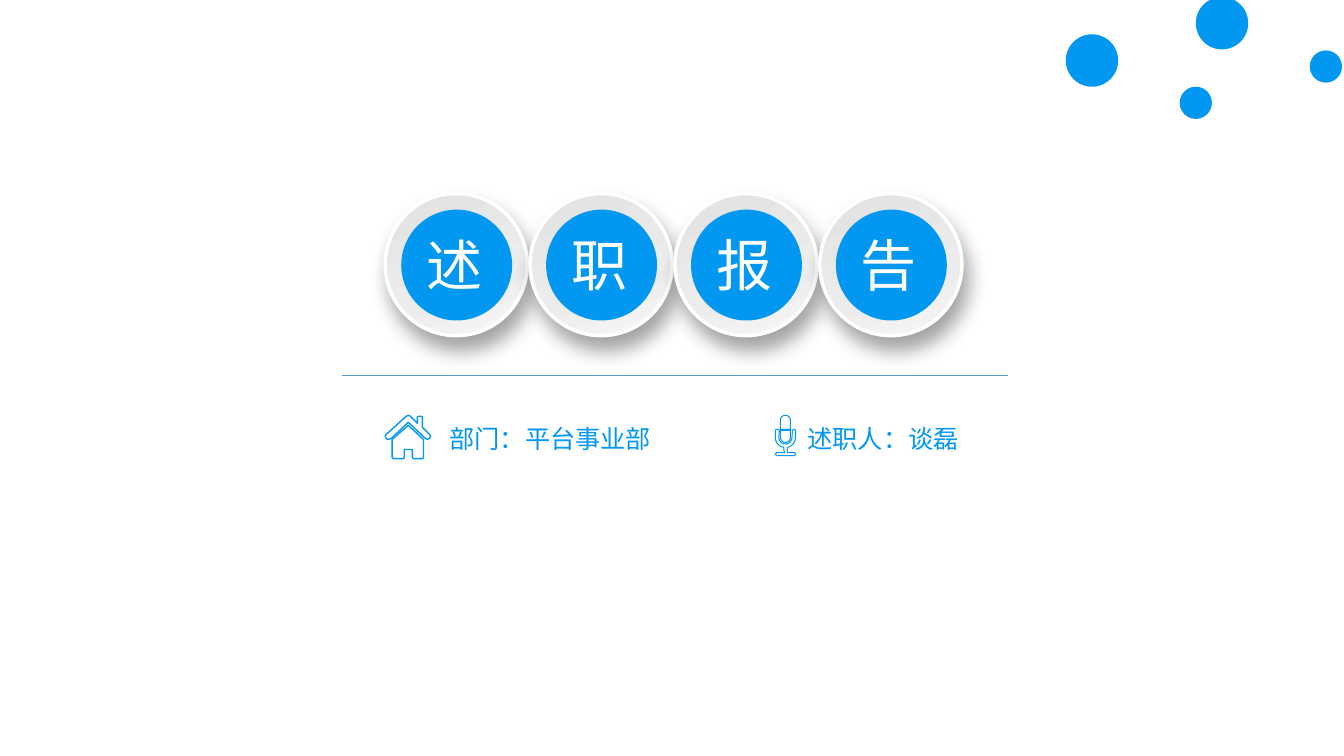
from dataclasses import dataclass
from math import cos, radians, sin

from lxml import etree
from pptx import Presentation
from pptx.dml.color import RGBColor
from pptx.enum.shapes import MSO_CONNECTOR, MSO_SHAPE
from pptx.enum.text import MSO_AUTO_SIZE
from pptx.oxml import parse_xml
from pptx.oxml.ns import nsdecls, qn
from pptx.shapes.autoshape import Shape
from pptx.util import Inches, Pt

ELLIPSE, DONUT = MSO_SHAPE.OVAL, MSO_SHAPE.DONUT
STRAIGHT = MSO_CONNECTOR.STRAIGHT
GROW = MSO_AUTO_SIZE.SHAPE_TO_FIT_TEXT

BLUE = RGBColor(0x02, 0x97, 0xF0)
RULE_BLUE = RGBColor(0x5B, 0x9B, 0xD5)
WHITE = RGBColor(0xFF, 0xFF, 0xFF)
RING_STOPS = {0: RGBColor(0xE2, 0xE2, 0xE2), 63: RGBColor(0xEC, 0xEC, 0xEC),
              100: RGBColor(0xF7, 0xF7, 0xF7)}
FONT = "Noto Sans CJK SC"

Point = tuple[float, float]


@dataclass(frozen=True)
class Badge:
    character: str
    left: float


@dataclass(frozen=True)
class Label:
    text: str
    left: float
    width: float


@dataclass(frozen=True)
class Dot:
    left: float
    top: float
    size: float


@dataclass(frozen=True)
class Icon:
    contours: list[list[Point]]
    line_width: float


BADGE_TOP, BADGE_SIZE, BADGE_PITCH = 1.92, 1.41, 1.437
DISC_INSET, DISC_SIZE = 0.16, 1.1
BADGES = [Badge(character, 3.82 + i * BADGE_PITCH) for i, character in enumerate("述职报告")]
LABELS = [Label("部门：平台事业部", 4.36, 3.23), Label("述职人：谈磊", 7.91, 2.26)]
DOTS = [Dot(10.57, 0.34, 0.52), Dot(11.7, 0.86, 0.32),
        Dot(11.86, -0.03, 0.52), Dot(12.99, 0.5, 0.32)]


def arc(center: Point, radius: float, start: int, end: int) -> list[Point]:
    """Points along a circle; angles in degrees, clockwise from the right."""
    steps = 12
    angles = [radians(start + (end - start) * i / steps) for i in range(steps + 1)]
    return [(center[0] + radius * cos(a), center[1] + radius * sin(a)) for a in angles]


HOUSE = Icon([
    [(4.05, 4.22), (4.2, 4.36), (4.2, 4.54), (4.19, 4.55), (4.1, 4.55), (4.09, 4.54),
     (4.09, 4.46), (4.01, 4.46), (4.01, 4.54), (4, 4.55), (3.9, 4.55), (3.89, 4.54),
     (3.89, 4.36)],
    [(4.05, 4.12), (4.07, 4.13), (4.14, 4.2), (4.14, 4.14), (4.15, 4.13), (4.18, 4.13),
     (4.19, 4.14), (4.19, 4.24), (4.26, 4.31), (4.27, 4.33), (4.26, 4.35), (4.24, 4.36),
     (4.22, 4.35), (4.05, 4.19), (3.88, 4.35), (3.85, 4.36), (3.83, 4.35), (3.82, 4.33),
     (3.83, 4.31), (4.03, 4.13)],
], 1)

CUP = (7.79, 4.34)
MICROPHONE = Icon([
    [(7.74, 4.27), (7.84, 4.27), *arc(CUP, 0.05, 0, 180)],
    [(7.69, 4.27), (7.7, 4.26), (7.72, 4.26), (7.73, 4.27), *arc(CUP, 0.065, 180, 0),
     (7.86, 4.27), (7.87, 4.26), (7.88, 4.26), (7.89, 4.27), *arc(CUP, 0.1, 0, 80),
     (7.81, 4.49), (7.88, 4.49), (7.89, 4.5), (7.89, 4.51), (7.88, 4.52), (7.71, 4.52),
     (7.69, 4.51), (7.7, 4.49), (7.78, 4.49), *arc(CUP, 0.1, 100, 180)],
    [(7.74, 4.26), *arc((7.79, 4.17), 0.05, 180, 360), (7.84, 4.26)],
], 0.75)


def add_circle(shapes, kind: MSO_SHAPE, left: float, top: float, size: float) -> Shape:
    circle = shapes.add_shape(kind, Inches(left), Inches(top), Inches(size), Inches(size))
    circle.shadow.inherit = False
    circle.fill.solid()
    circle.fill.fore_color.rgb = BLUE
    circle.line.fill.background()
    return circle


def add_text(shapes, text: str, left: float, top: float, width: float, height: float,
             size: int, color: RGBColor) -> None:
    box = shapes.add_textbox(Inches(left), Inches(top), Inches(width), Inches(height))
    for attribute, value in {"word_wrap": True, "auto_size": GROW}.items():
        setattr(box.text_frame, attribute, value)
    run = box.text_frame.paragraphs[0].add_run()
    run.text = text
    for attribute, value in {"name": FONT, "size": Pt(size)}.items():
        setattr(run.font, attribute, value)
    run.font.color.rgb = color
    etree.SubElement(run.font._element, qn("a:ea"), typeface=FONT)


def style_ring(ring: Shape) -> None:
    """Give the ring a three-stop gradient, a white rim and a soft shadow."""
    ring.line.color.rgb = WHITE
    ring.line.width = Pt(2.5)
    ring.fill.gradient()
    ring.fill.gradient_angle = 290
    properties = ring._element.spPr
    stops = properties.find(".//" + qn("a:gsLst"))
    for stop in list(stops):
        stops.remove(stop)
    for position, color in RING_STOPS.items():
        stop = etree.SubElement(stops, qn("a:gs"), pos=str(position * 1000))
        etree.SubElement(stop, qn("a:srgbClr"), val=str(color))
    properties.find(qn("a:effectLst")).append(parse_xml(
        f'<a:outerShdw {nsdecls("a")} blurRad="{Pt(14)}" dist="{Pt(10)}" dir="{70 * 60000}"'
        ' algn="ctr" rotWithShape="0"><a:srgbClr val="1A1A1A"><a:alpha val="40000"/>'
        '</a:srgbClr></a:outerShdw>'))


def add_badge(shapes, badge: Badge) -> None:
    group = shapes.add_group_shape().shapes
    style_ring(add_circle(group, ELLIPSE, badge.left, BADGE_TOP, BADGE_SIZE))
    add_circle(group, ELLIPSE, badge.left + DISC_INSET, BADGE_TOP + DISC_INSET, DISC_SIZE)
    add_text(group, badge.character, badge.left + 0.31, BADGE_TOP + 0.32, 0.73, 0.77, 40, WHITE)


def add_icon(shapes, icon: Icon) -> None:
    contours = [[(Inches(x), Inches(y)) for x, y in contour] for contour in icon.contours]
    builder = shapes.build_freeform(*contours[0][0])
    for i, contour in enumerate(contours):
        if i:
            builder.move_to(*contour[0])
        builder.add_line_segments(contour[1:], close=True)
    outline = builder.convert_to_shape()
    outline.shadow.inherit = False
    outline.fill.solid()
    outline.fill.fore_color.rgb = WHITE
    outline.line.color.rgb = BLUE
    outline.line.width = Pt(icon.line_width)


def add_dot(shapes, dot: Dot) -> None:
    group = shapes.add_group_shape().shapes
    rim = add_circle(group, DONUT, dot.left, dot.top, dot.size)
    rim.adjustments[0] = 0.05
    add_circle(group, ELLIPSE, dot.left + 0.01, dot.top + 0.01, dot.size - 0.02)


def add_rule(shapes, left: float, right: float, y: float) -> None:
    rule = shapes.add_connector(STRAIGHT, Inches(left), Inches(y), Inches(right), Inches(y))
    rule.line.color.rgb = RULE_BLUE
    rule.line.width = Pt(0.5)
    etree.SubElement(rule._element.spPr, qn("a:effectLst"))


def main() -> None:
    deck = Presentation()
    deck.slide_width, deck.slide_height = Inches(13.33), Inches(7.5)
    shapes = deck.slides.add_slide(deck.slide_layouts[6]).shapes
    for badge in BADGES:
        add_badge(shapes, badge)
    add_rule(shapes, 3.39, 10, 3.72)
    for label in LABELS:
        add_text(shapes, label.text, label.left, 4.15, label.width, 0.4, 18, BLUE)
    for icon in (HOUSE, MICROPHONE):
        add_icon(shapes, icon)
    for dot in DOTS:
        add_dot(shapes, dot)
    deck.save("out.pptx")


if __name__ == "__main__":
    main()
